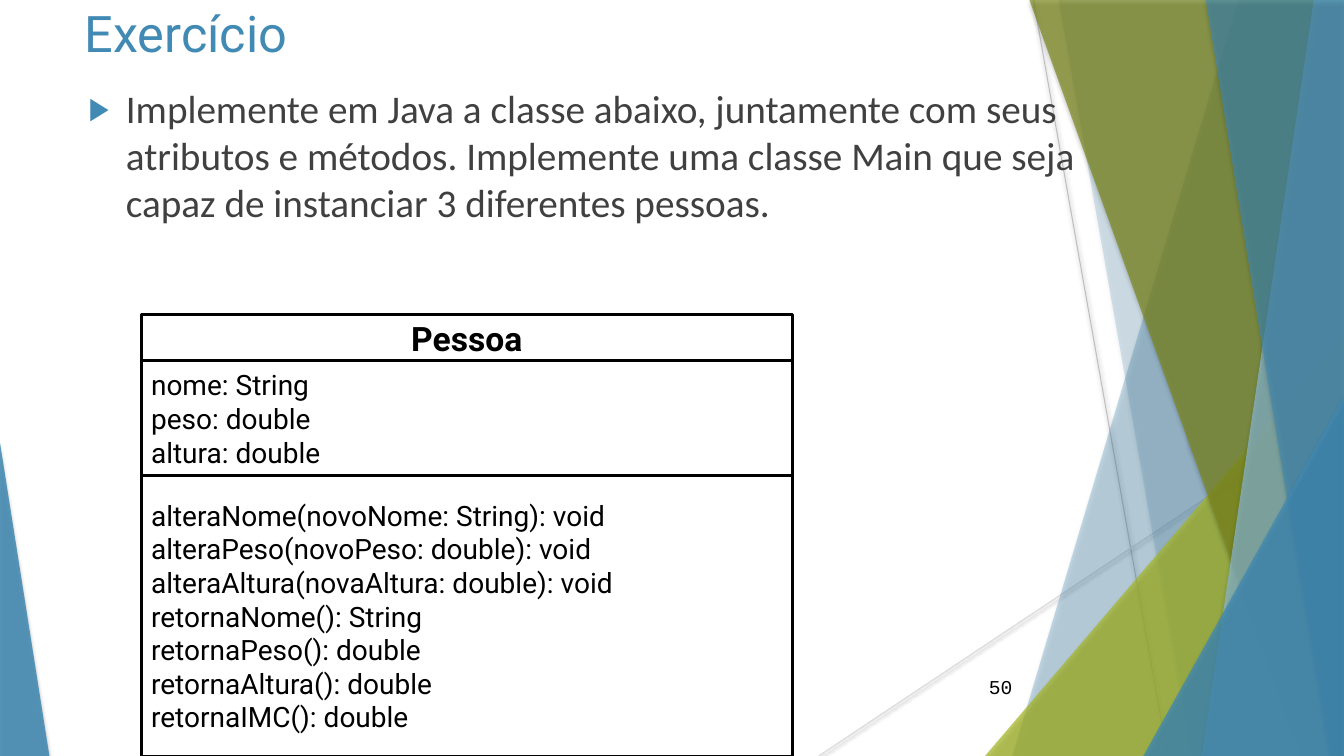
from dataclasses import dataclass
from lxml import etree
from pptx import Presentation
from pptx.dml.color import RGBColor
from pptx.enum.shapes import MSO_CONNECTOR, MSO_SHAPE
from pptx.enum.text import MSO_ANCHOR, PP_ALIGN
from pptx.oxml.ns import qn
from pptx.util import Inches, Pt

RECT, PEAK = MSO_SHAPE.RECTANGLE, MSO_SHAPE.ISOSCELES_TRIANGLE
STRAIGHT = MSO_CONNECTOR.STRAIGHT
TOP, MIDDLE = MSO_ANCHOR.TOP, MSO_ANCHOR.MIDDLE
LEFT, CENTER, RIGHT = PP_ALIGN.LEFT, PP_ALIGN.CENTER, PP_ALIGN.RIGHT


@dataclass(frozen=True)
class Theme:
    """Colours as hex and type as (font, size, colour)."""
    blue: str = "418AB3"
    sky: str = "8ABAD4"
    lime: str = "A6B727"
    olive: str = "7D891D"
    black: str = "000000"
    white: str = "FFFFFF"
    silver: str = "BFBFBF"
    pale: str = "D9D9D9"
    title: tuple = ("Roboto", 36, "418AB3")
    body: tuple = ("Calibri", 28, "404040")
    head: tuple = ("Roboto", 24, "000000")
    member: tuple = ("Roboto", 20, "000000")
    page: tuple = ("Courier New", 14, "000000")


THEME = Theme()
WIDE, HIGH = 13.33, 7.5


def emu(*vals):
    """Turn inches into EMU."""
    return [Inches(v) for v in vals]


def sub(node, tag, **attrs):
    """Add a DrawingML child with attributes."""
    return etree.SubElement(node, qn("a:" + tag), {k: str(v) for k, v in attrs.items()})


def cast(shape, alpha, blur, dist):
    """Give a shape a soft shadow straight below it."""
    glow = sub(shape._element.spPr, "effectLst")
    drop = sub(glow, "outerShdw", blurRad=Pt(blur), dist=Pt(dist),
               dir=5400000, algn="ctr", rotWithShape=0)
    sub(sub(drop, "srgbClr", val=THEME.black), "alpha", val=alpha * 1000)


def glaze(shape, tone, alpha):
    """Fill a shape with a translucent tone and no outline."""
    shape.fill.solid()
    shape.fill.fore_color.rgb = RGBColor.from_string(tone)
    tint = shape._element.spPr.find(qn("a:solidFill"))[0]
    sub(tint, "alpha", val=alpha * 1000)
    shape.line.fill.background()
    cast(shape, 35, 3, 2)


def write(shape, lines, style, align=LEFT, anchor=TOP, bold=False):
    """Put lines of one style in a shape."""
    font, size, tone = style
    frame = shape.text_frame
    frame.word_wrap = True
    frame.vertical_anchor = anchor
    frame.text = "\n".join(lines)
    for para in frame.paragraphs:
        para.alignment = align
        para.font.name, para.font.size, para.font.bold = font, Pt(size), bold
        para.font.color.rgb = RGBColor.from_string(tone)
    return frame.paragraphs[0]


def label(slide, box, text, style, **look):
    """Add a text box and return its paragraph."""
    return write(slide.shapes.add_textbox(*emu(*box)), [text], style, **look)


def rays(shapes):
    """Draw the two thin lines behind the facets."""
    for ends, tone in (((10.25, 0, 11.58, HIGH), THEME.silver),
                       ((WIDE, 4.03, 8.12, HIGH), THEME.pale)):
        ray = shapes.add_connector(STRAIGHT, *emu(*ends))
        ray.line.color.rgb = RGBColor.from_string(tone)
        ray.line.width = Pt(0.75)
        cast(ray, 38, 3.1, 1.6)


def facet(shapes, top, foot, tone, alpha):
    """Draw a full-height pane from a slanted edge to the right side."""
    path = shapes.build_freeform(*emu(top, 0))
    path.add_line_segments([emu(WIDE, 0), emu(WIDE, HIGH), emu(foot, HIGH)])
    glaze(path.convert_to_shape(), tone, alpha)


def peak(shapes, left, right, top, apex, tone, alpha):
    """Draw a right triangle standing on the foot of the slide."""
    shape = shapes.add_shape(PEAK, *emu(left, top, right - left, HIGH - top))
    shape.adjustments[0] = apex
    glaze(shape, tone, alpha)


def decor(slide):
    """Draw the angular scenery on both sides."""
    shapes = slide.shapes.add_group_shape().shapes
    rays(shapes)
    facet(shapes, 12.28, 10.04, THEME.blue, 30)
    facet(shapes, 10.5, 11.82, THEME.blue, 20)
    peak(shapes, 9.77, WIDE, 3.33, 1, THEME.lime, 72)
    facet(shapes, 10.21, 12.91, THEME.olive, 70)
    facet(shapes, 13.03, 11.92, THEME.sky, 70)
    facet(shapes, 11.96, 13.18, THEME.blue, 65)
    peak(shapes, 11.34, WIDE, 3.93, 1, THEME.blue, 80)
    peak(shapes, 0, 0.49, 4.39, 0, THEME.blue, 85)


def task(slide, box, text):
    """Write the bulleted task."""
    para = label(slide, box, text, THEME.body)
    para.space_before = Pt(10)
    props = para._p.get_or_add_pPr()
    props.set("marL", str(Inches(0.38)))
    props.set("indent", str(Inches(-0.37)))
    marks = [sub(props, "buClr"), sub(props, "buSzPct", val=80000),
             sub(props, "buFont", typeface="Arial"), sub(props, "buChar", char="▶")]
    sub(marks[0], "srgbClr", val=THEME.blue)
    rest = props.find(qn("a:defRPr"))
    for mark in marks:
        rest.addprevious(mark)


def uml(slide, box, name, fields, calls):
    """Stack the name, fields and methods of a class in a box."""
    left, top, width, height = box
    shapes = slide.shapes.add_group_shape().shapes
    parts = ((0.105, [name], THEME.head, CENTER, True),
             (0.26, fields, THEME.member, LEFT, False),
             (0.635, calls, THEME.member, LEFT, False))
    for share, lines, style, align, bold in parts:
        cell = shapes.add_shape(RECT, *emu(left, top, width, share * height))
        cell.shadow.inherit = False
        cell.fill.solid()
        cell.fill.fore_color.rgb = RGBColor.from_string(THEME.white)
        cell.line.color.rgb = RGBColor.from_string(THEME.black)
        cell.line.width = Pt(2)
        write(cell, lines, style, align, MIDDLE, bold)
        top += share * height


def lesson(deck):
    """Build the exercise slide."""
    slide = deck.slides.add_slide(deck.slide_layouts[6])
    decor(slide)
    label(slide, (0.74, -0.03, 9.4, 1.44), "Exercício", THEME.title)
    task(slide, (0.77, 0.79, 10.49, 5),
         "Implemente em Java a classe abaixo, juntamente com seus atributos e métodos. "
         "Implemente uma classe Main que seja capaz de instanciar 3 diferentes pessoas.")
    label(slide, (9.39, 6.61, 0.75, 0.4), "50", THEME.page, align=RIGHT, anchor=MIDDLE)
    uml(slide, (1.4, 3.12, 6.46, 4.38), "Pessoa",
        ["nome: String", "peso: double", "altura: double"],
        ["alteraNome(novoNome: String): void",
         "alteraPeso(novoPeso: double): void",
         "alteraAltura(novaAltura: double): void",
         "retornaNome(): String",
         "retornaPeso(): double",
         "retornaAltura(): double",
         "retornaIMC(): double"])


def main():
    """Make the deck and save it."""
    deck = Presentation()
    deck.slide_width, deck.slide_height = emu(WIDE, HIGH)
    lesson(deck)
    deck.save("out.pptx")


if __name__ == "__main__":
    main()
